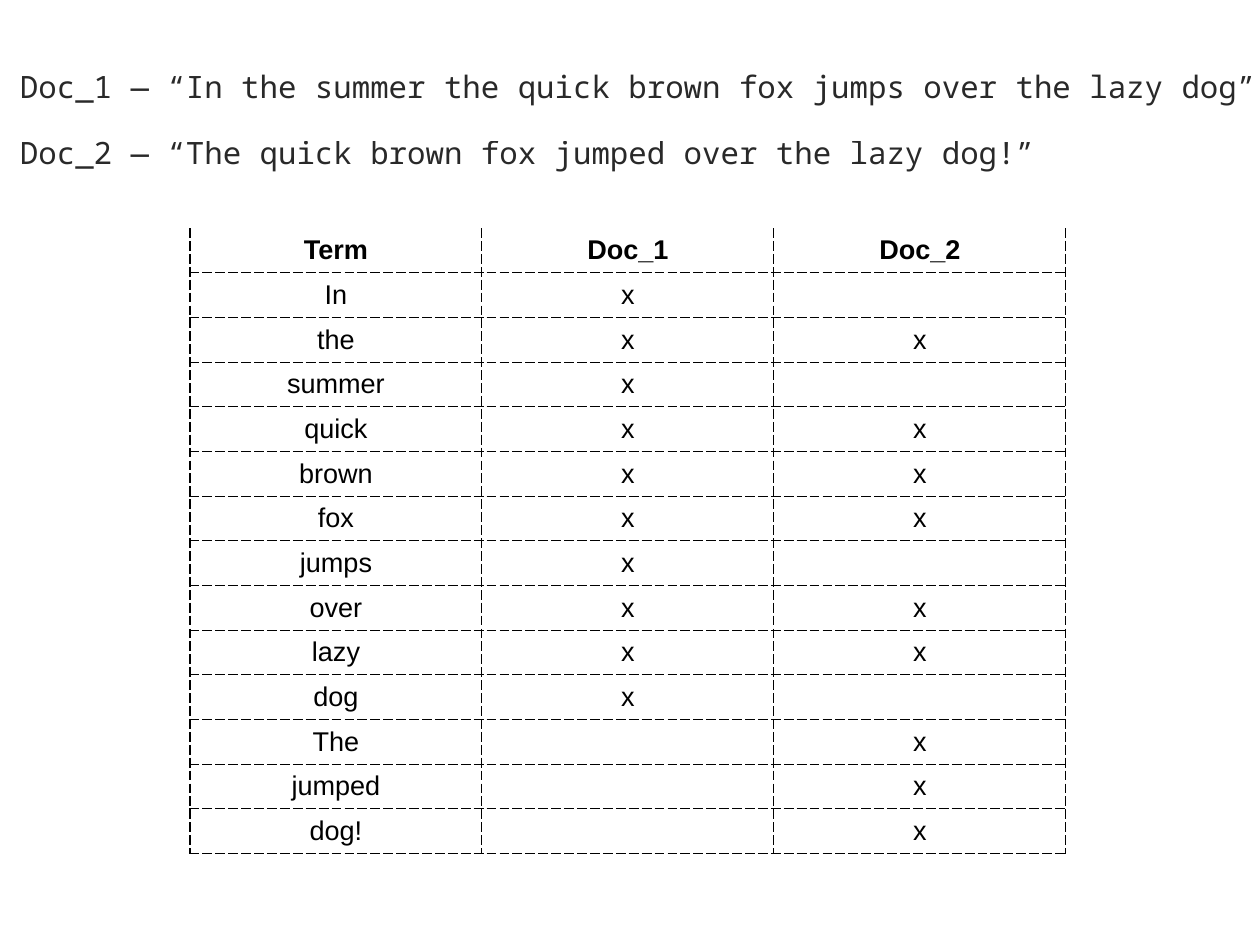
from dataclasses import dataclass

from lxml import etree
from pptx import Presentation
from pptx.dml.color import RGBColor
from pptx.enum.text import MSO_ANCHOR, MSO_AUTO_SIZE, PP_ALIGN
from pptx.oxml.ns import qn
from pptx.util import Pt

EMU_PER_PX = 10321
MIDDLE = MSO_ANCHOR.MIDDLE
GROW = MSO_AUTO_SIZE.SHAPE_TO_FIT_TEXT
CENTER = PP_ALIGN.CENTER
BLACK = RGBColor(0x00, 0x00, 0x00)
SENTENCE_ALPHA = 84
INSET = 5
MARK = "x"


@dataclass(frozen=True)
class Document:
    name: str
    sentence: str

    @property
    def words(self) -> list[str]:
        return self.sentence.split()


@dataclass(frozen=True)
class Box:
    left: int
    top: int
    width: int
    height: int

    def emu(self) -> tuple[int, ...]:
        return tuple(px(v) for v in (self.left, self.top, self.width, self.height))


DOCUMENTS = [
    Document("Doc_1", "In the summer the quick brown fox jumps over the lazy dog"),
    Document("Doc_2", "The quick brown fox jumped over the lazy dog!"),
]
SENTENCES_BOX = Box(15, 63, 1248, 83)
INDEX_BOX = Box(190, 228, 876, 626)


def px(length: int) -> int:
    return length * EMU_PER_PX


def apply_format(target, values: dict) -> None:
    for attribute, value in values.items():
        setattr(target, attribute, value)


def inset_format(prefix: str) -> dict:
    return {f"{prefix}_{side}": px(INSET) for side in ("left", "right", "top", "bottom")}


def add_sentences(slide, box: Box, documents: list[Document]) -> None:
    frame = slide.shapes.add_textbox(*box.emu()).text_frame
    apply_format(frame, inset_format("margin") | {
        "word_wrap": False, "auto_size": GROW, "vertical_anchor": MIDDLE})
    for number, document in enumerate(documents):
        line = frame.add_paragraph() if number else frame.paragraphs[0]
        line.line_spacing = Pt(54)
        run = line.add_run()
        run.text = f"{document.name} — “{document.sentence}”"
        apply_format(run.font, {"name": "Noto Sans Mono", "size": Pt(25)})
        run.font.color.rgb = BLACK
        color = run.font._element.find(qn("a:solidFill")).find(qn("a:srgbClr"))
        etree.SubElement(color, qn("a:alpha"), val=str(SENTENCE_ALPHA * 1000))


def add_borders(cell, open_top: bool) -> None:
    """Draw dashed lines round a cell, leaving the top bare if asked."""
    properties = cell._tc.get_or_add_tcPr()
    for side in "LRTB":
        border = etree.SubElement(properties, qn(f"a:ln{side}"), w=str(Pt(1)))
        if side == "T" and open_top:
            etree.SubElement(border, qn("a:noFill"))
            continue
        fill = etree.SubElement(border, qn("a:solidFill"))
        etree.SubElement(fill, qn("a:srgbClr"), val=str(BLACK))
        etree.SubElement(border, qn("a:prstDash"), val="lgDash")


def index_rows(documents: list[Document]) -> list[list[str]]:
    """List each distinct term with a mark for every document that holds it."""
    terms = dict.fromkeys(word for document in documents for word in document.words)
    header = ["Term"] + [document.name for document in documents]
    return [header] + [
        [term] + [MARK if term in document.words else "" for document in documents]
        for term in terms]


def add_index(slide, box: Box, rows: list[list[str]]) -> None:
    index = slide.shapes.add_table(len(rows), len(rows[0]), *box.emu()).table
    apply_format(index, {"first_row": False, "horz_banding": False})
    for row in index.rows:
        row.height = px(box.height) // len(rows)
    for row_number, texts in enumerate(rows):
        is_header = row_number == 0
        for column_number, text in enumerate(texts):
            cell = index.cell(row_number, column_number)
            apply_format(cell, inset_format("margin") | {
                "text": text, "vertical_anchor": MIDDLE})
            add_borders(cell, open_top=is_header)
            cell.fill.background()
            entry = cell.text_frame.paragraphs[0]
            entry.alignment = CENTER
            for run in entry.runs:
                apply_format(run.font, {
                    "name": "Arial", "size": Pt(22), "bold": is_header})
                run.font.color.rgb = BLACK


def main() -> None:
    presentation = Presentation()
    apply_format(presentation, {"slide_width": px(1260), "slide_height": px(945)})
    slide = presentation.slides.add_slide(presentation.slide_layouts[6])
    add_sentences(slide, SENTENCES_BOX, DOCUMENTS)
    add_index(slide, INDEX_BOX, index_rows(DOCUMENTS))
    presentation.save("out.pptx")


if __name__ == "__main__":
    main()
